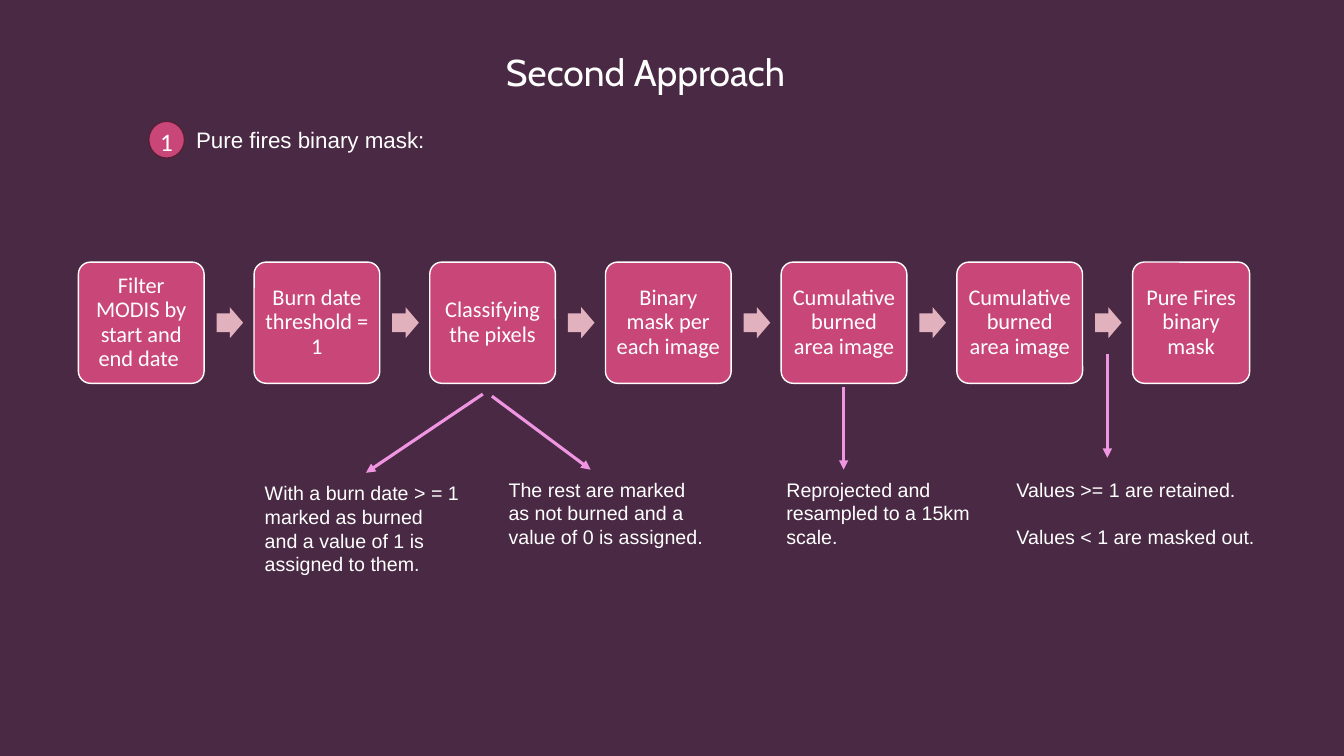
import pptx
import pptx.util
import pptx.dml.color
import pptx.enum.shapes
import pptx.enum.text
from dataclasses import dataclass
from lxml import etree

Pt = pptx.util.Pt
Shapes = pptx.enum.shapes.MSO_SHAPE
Align = pptx.enum.text.PP_ALIGN
Anchor = pptx.enum.text.MSO_ANCHOR


@dataclass(frozen=True)
class Theme:
    background: str = "492943"
    text: str = "FFFFFF"
    accent: str = "C94778"
    badge_line: str = "581F35"
    flow_arrow: str = "E1B1BE"
    callout: str = "EF95E2"
    title_size: float = 26.6
    badge_size: float = 18
    body_size: float = 16
    note_size: float = 14


theme = Theme()


def color(code):
    return pptx.dml.color.RGBColor.from_string(code)


def write_text(shape, text, size, font="Arial", align=Align.LEFT, anchor=Anchor.TOP,
               insets=(7.2, 3.6, 7.2, 3.6), line_spacing=1.0, gap=0):
    """Fill a shape with text, one paragraph per line; insets run left, top, right, bottom."""
    frame = shape.text_frame
    frame.word_wrap = True
    frame.auto_size = pptx.enum.text.MSO_AUTO_SIZE.NONE
    frame.vertical_anchor = anchor
    frame.margin_left, frame.margin_top, frame.margin_right, frame.margin_bottom = map(Pt, insets)
    frame.text = text
    for index, paragraph in enumerate(frame.paragraphs):
        paragraph.alignment = align
        paragraph.line_spacing = line_spacing
        paragraph.space_before = Pt(gap if index else 0)
        paragraph.font.name = font
        paragraph.font.size = Pt(size)
        paragraph.font.color.rgb = color(theme.text)


presentation = pptx.Presentation()
presentation.slide_width, presentation.slide_height = Pt(960), Pt(540)
slide = presentation.slides.add_slide(presentation.slide_layouts.get_by_name("Title Only"))
slide.background.fill.solid()
slide.background.fill.fore_color.rgb = color(theme.background)

# Title
title = slide.shapes.title
title.left, title.top, title.width, title.height = Pt(354.2), Pt(40.3), Pt(220), Pt(46)
write_text(title, "Second Approach", theme.title_size, font="Cabin", line_spacing=0.7)

# Numbered heading
badge = slide.shapes.add_shape(Shapes.OVAL, Pt(106.2), Pt(86.6), Pt(25.6), Pt(26.4))
badge.shadow.inherit = False
badge.fill.solid()
badge.fill.fore_color.rgb = color(theme.accent)
badge.line.color.rgb = color(theme.badge_line)
badge.line.width = Pt(1)
write_text(badge, "1", theme.badge_size, font="Calibri", align=Align.CENTER,
           anchor=Anchor.MIDDLE, insets=(0, 2, 0, 0))
heading = slide.shapes.add_textbox(Pt(133), Pt(86.6), Pt(331), Pt(26.6))
write_text(heading, "Pure fires binary mask:", theme.body_size)

# Process flow
steps = [
    "Filter MODIS by start and end date ",
    "Burn date threshold = 1",
    "Classifying the pixels",
    "Binary mask per each image",
    "Cumulative burned area image",
    "Cumulative burned area image",
    "Pure Fires binary mask",
]
flow_left, flow_top, step_pitch, step_height = 56, 187.2, 125.5, 86.6
for index, step in enumerate(steps):
    is_last = index == len(steps) - 1
    left = flow_left + index * step_pitch
    box = slide.shapes.add_shape(Shapes.ROUNDED_RECTANGLE, Pt(left), Pt(flow_top),
                                 Pt(83.6 if is_last else 89.8), Pt(step_height))
    box.adjustments[0] = 0.1
    box.shadow.inherit = False
    box.fill.solid()
    box.fill.fore_color.rgb = color(theme.accent)
    box.line.color.rgb = color(theme.text)
    box.line.width = Pt(1)
    write_text(box, step, theme.body_size, font="Calibri", align=Align.CENTER,
               anchor=Anchor.MIDDLE, insets=(5,) * 4, line_spacing=0.9)
    if not is_last:
        arrow = slide.shapes.add_shape(Shapes.RIGHT_ARROW, Pt(left + 98.7), Pt(219.4),
                                       Pt(19), Pt(22.2))
        arrow.adjustments[0], arrow.adjustments[1] = 0.6, 0.5
        arrow.shadow.inherit = False
        arrow.fill.solid()
        arrow.fill.fore_color.rgb = color(theme.flow_arrow)
        arrow.line.fill.background()

# Callout arrows: start x, start y, end x, end y
callouts = [
    (602.6, 276.5, 602.6, 335.5),
    (351.4, 283, 421.9, 335.5),
    (344.9, 281.5, 261.4, 337.7),
    (791, 253, 791, 327),
]
for ends in callouts:
    callout = slide.shapes.add_connector(pptx.enum.shapes.MSO_CONNECTOR.STRAIGHT, *map(Pt, ends))
    callout.line.color.rgb = color(theme.callout)
    callout.line.width = Pt(2.25)
    line = callout.line._get_or_add_ln()
    etree.SubElement(line, pptx.oxml.ns.qn("a:tailEnd"), type="triangle")
    etree.SubElement(callout._element.spPr, pptx.oxml.ns.qn("a:effectLst"))

# Notes: left, top, width, height, text
notes = [
    (182, 340.3, 154, 75, "With a burn date > = 1 marked as burned and a value of 1 is assigned to them."),
    (356.2, 337.7, 154, 58, "The rest are marked as not burned and a value of 0 is assigned."),
    (554.6, 337.7, 157, 58, "Reprojected and resampled to a 15km scale."),
    (719, 337.7, 185, 58, "Values >= 1 are retained.\nValues < 1 are masked out."),
]
for left, top, width, height, text in notes:
    note = slide.shapes.add_textbox(Pt(left), Pt(top), Pt(width), Pt(height))
    write_text(note, text, theme.note_size, gap=17)

presentation.save("out.pptx")
